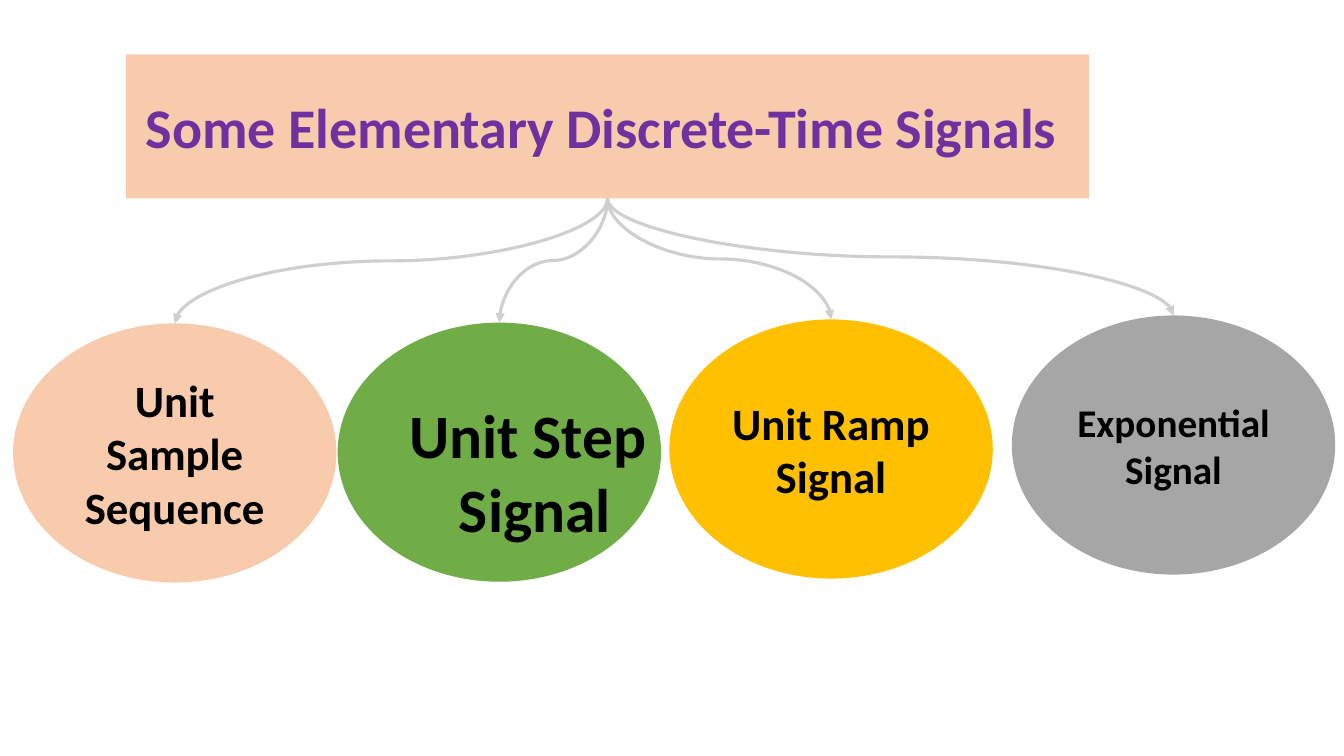
from dataclasses import dataclass

from lxml import etree
from pptx import Presentation
from pptx.dml.color import RGBColor
from pptx.enum.shapes import MSO_CONNECTOR, MSO_SHAPE
from pptx.enum.text import MSO_ANCHOR, MSO_AUTO_SIZE, PP_ALIGN
from pptx.oxml.ns import qn
from pptx.shapes.autoshape import Shape
from pptx.slide import Slide
from pptx.util import Cm, Pt

CURVE = MSO_CONNECTOR.CURVE
OVAL = MSO_SHAPE.OVAL
MIDDLE = MSO_ANCHOR.MIDDLE
TOP = MSO_ANCHOR.TOP
CENTER = PP_ALIGN.CENTER
NO_FIT = MSO_AUTO_SIZE.NONE
FIT_SHAPE = MSO_AUTO_SIZE.SHAPE_TO_FIT_TEXT

PEACH = RGBColor(0xF8, 0xCB, 0xAD)
GREEN = RGBColor(0x70, 0xAD, 0x47)
GOLD = RGBColor(0xFF, 0xC0, 0x00)
GRAY = RGBColor(0xA6, 0xA6, 0xA6)
ARROW_GRAY = RGBColor(0xD0, 0xCE, 0xCE)
PURPLE = RGBColor(0x70, 0x30, 0xA0)
BLACK = RGBColor(0x00, 0x00, 0x00)

TITLE_ONLY = 5
TITLE_BOX = (3.18, 1.37, 24.26, 3.63)
STEP_BOX = (10.03, 9.88, 6.91, 4.01)
OVAL_WIDTH, OVAL_HEIGHT = 8.15, 6.53


@dataclass(frozen=True)
class Signal:
    left: float
    top: float
    fill: RGBColor
    label: str = ""
    size: int = 32


SIGNALS = (
    Signal(0.33, 8.15, PEACH, "Unit Sample Sequence"),
    Signal(8.51, 8.13, GREEN),
    Signal(16.87, 8.05, GOLD, "Unit Ramp Signal"),
    Signal(25.5, 7.95, GRAY, "Exponential Signal", 28),
)


def write_text(box: Shape, text: str, size: int, color: RGBColor,
               frame_format: dict) -> None:
    frame = box.text_frame
    frame.text = text
    for name, value in frame_format.items():
        setattr(frame, name, value)
    font_format = {"name": "Calibri", "size": Pt(size), "bold": True}
    for para in frame.paragraphs:
        para.alignment = CENTER
        for span in para.runs:
            for name, value in font_format.items():
                setattr(span.font, name, value)
            span.font.color.rgb = color


def paint(box: Shape, color: RGBColor) -> None:
    box.fill.solid()
    box.fill.fore_color.rgb = color
    box.line.fill.background()


def add_title(slide: Slide) -> None:
    title = slide.shapes.title
    for name, value in zip(("left", "top", "width", "height"), TITLE_BOX):
        setattr(title, name, Cm(value))
    outline = etree.SubElement(title.element.spPr, qn("a:prstGeom"), prst="roundRect")
    etree.SubElement(outline, qn("a:avLst"))
    paint(title, PEACH)
    write_text(title, "Some Elementary Discrete-Time Signals ", 40, PURPLE,
               {"word_wrap": True, "auto_size": NO_FIT, "vertical_anchor": MIDDLE})


def add_signal(slide: Slide, signal: Signal) -> None:
    oval = slide.shapes.add_shape(
        OVAL, Cm(signal.left), Cm(signal.top), Cm(OVAL_WIDTH), Cm(OVAL_HEIGHT))
    oval.shadow.inherit = False
    paint(oval, signal.fill)
    if signal.label:
        write_text(oval, signal.label, signal.size, BLACK,
                   {"word_wrap": True, "vertical_anchor": MIDDLE})


def add_arrow(slide: Slide, signal: Signal) -> None:
    left, top, width, height = TITLE_BOX
    start_x, start_y = left + width / 2, top + height
    end_x, end_y = signal.left + OVAL_WIDTH / 2, signal.top
    middle_x, middle_y = (start_x + end_x) / 2, (start_y + end_y) / 2
    goes_right = end_x > start_x
    half_width = (end_y - start_y) / 2 * (-1 if goes_right else 1)
    half_height = abs(end_x - start_x) / 2
    arrow = slide.shapes.add_connector(
        CURVE, Cm(middle_x - half_width), Cm(middle_y - half_height),
        Cm(middle_x + half_width), Cm(middle_y + half_height))
    degrees = 270 if goes_right else 90
    properties = arrow.element.spPr
    properties.find(qn("a:xfrm")).set("rot", str(degrees * 60000))
    arrow.line.color.rgb = ARROW_GRAY
    arrow.line.width = Pt(2.25)
    etree.SubElement(properties.find(qn("a:ln")), qn("a:tailEnd"), type="triangle")
    etree.SubElement(properties, qn("a:effectLst"))


def main() -> None:
    deck = Presentation()
    deck.slide_width, deck.slide_height = Cm(33.87), Cm(19.05)
    slide = deck.slides.add_slide(deck.slide_layouts[TITLE_ONLY])
    add_title(slide)
    for signal in SIGNALS:
        add_signal(slide, signal)
    step_label = slide.shapes.add_textbox(*map(Cm, STEP_BOX))
    write_text(step_label, "Unit Step \nSignal", 44, BLACK,
               {"word_wrap": False, "auto_size": FIT_SHAPE, "vertical_anchor": TOP})
    for signal in SIGNALS:
        add_arrow(slide, signal)
    deck.save("out.pptx")


if __name__ == "__main__":
    main()
